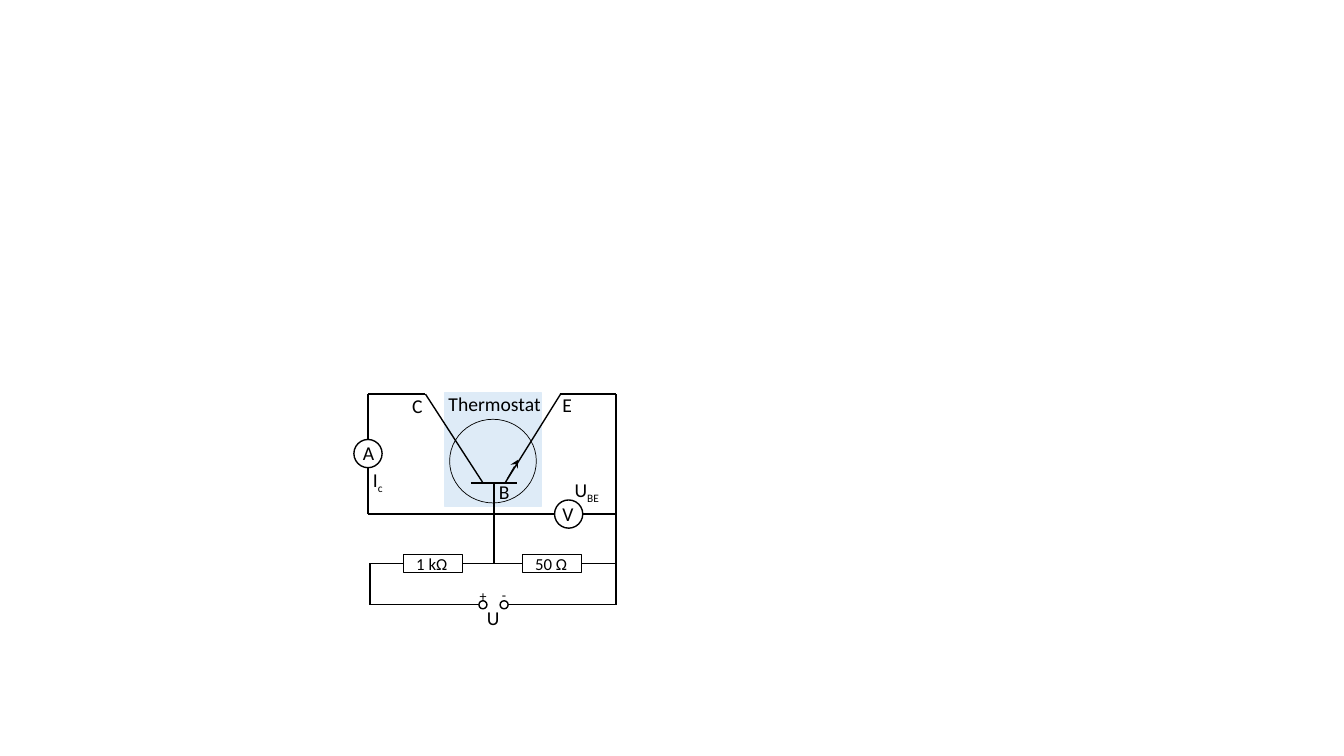
import lxml.etree
import pptx
import pptx.dml.color
import pptx.enum.shapes
import pptx.enum.text
import pptx.oxml.ns
import pptx.util

COLORS = {"ink": "000000", "paper": "FFFFFF", "thermostat": "DEEBF7"}
RECTANGLE = pptx.enum.shapes.MSO_SHAPE.RECTANGLE
OVAL = pptx.enum.shapes.MSO_SHAPE.OVAL


def rgb(name):
    return pptx.dml.color.RGBColor.from_string(COLORS[name])


class CircuitSlide:
    font_name = "Calibri"
    columns, rows = 133.3, 75

    def __init__(self, presentation):
        self.slide = presentation.slides.add_slide(presentation.slide_layouts[6])
        self.column = presentation.slide_width / self.columns
        self.row = presentation.slide_height / self.rows

    def place(self, left, top, width, height):
        return (round(left * self.column), round(top * self.row),
                round(width * self.column), round(height * self.row))

    def shape(self, kind, box, fill="paper", line="ink", weight=1):
        shape = self.slide.shapes.add_shape(kind, *self.place(*box))
        shape.shadow.inherit = False
        if fill:
            shape.fill.solid()
            shape.fill.fore_color.rgb = rgb(fill)
        else:
            shape.fill.background()
        shape.line.color.rgb = rgb(line)
        shape.line.width = pptx.util.Pt(weight)

    def circle(self, center_x, center_y, diameter):
        radius = diameter / 2
        self.shape(OVAL, (center_x - radius, center_y - radius, diameter, diameter))

    def wire(self, start, end, weight=1, arrow=False):
        connector = self.slide.shapes.add_connector(
            pptx.enum.shapes.MSO_CONNECTOR.STRAIGHT, *self.place(*start, *end))
        connector.line.color.rgb = rgb("ink")
        connector.line.width = pptx.util.Pt(weight)
        properties = connector._element.spPr
        if arrow:
            outline = properties.find(pptx.oxml.ns.qn("a:ln"))
            lxml.etree.SubElement(outline, pptx.oxml.ns.qn("a:tailEnd"), type="stealth")
        lxml.etree.SubElement(properties, pptx.oxml.ns.qn("a:effectLst"))

    def label(self, text, box, size=14, subscript="", wrap=False):
        text_box = self.slide.shapes.add_textbox(*self.place(*box))
        frame = text_box.text_frame
        frame.word_wrap = wrap
        frame.auto_size = pptx.enum.text.MSO_AUTO_SIZE.SHAPE_TO_FIT_TEXT
        frame.text = text
        paragraph = frame.paragraphs[0]
        if subscript:
            run = paragraph.add_run()
            run.text = subscript
            run._r.get_or_add_rPr().set("baseline", "-25000")
        for run in paragraph.runs:
            run.font.name = self.font_name
            run.font.size = pptx.util.Pt(size)
            run.font.color.rgb = rgb("ink")


def main():
    presentation = pptx.Presentation()
    presentation.slide_width = pptx.util.Inches(13.33)
    presentation.slide_height = pptx.util.Inches(7.5)
    circuit = CircuitSlide(presentation)

    left, supply_left, base, right = 36.5, 36.7, 49, 61.1
    top, plate, meter_row, resistor_row, supply_row = 39.1, 47.9, 51, 55.9, 60

    circuit.shape(RECTANGLE, (44.1, 39, 9.6, 11.2), "thermostat", "thermostat")

    wires = [
        ((supply_left, resistor_row), (right, resistor_row)),
        ((supply_left, resistor_row), (supply_left, supply_row)),
        ((right, top), (right, supply_row)),
        ((supply_left, supply_row), (47.8, supply_row)),
        ((50, supply_row), (right, supply_row)),
        ((base, resistor_row), (base, plate)),
        ((left, meter_row), (right, meter_row)),
        ((46.7, plate), (51.3, plate)),
        ((55.5, top), (right, top)),
        ((left, meter_row), (left, top)),
        ((left, top), (42.2, top)),
        ((47.9, plate), (42.2, top)),
        ((50.1, plate), (55.6, top)),
    ]
    for start, end in wires:
        circuit.wire(start, end)

    for resistor_left in (40, 51.8):
        circuit.shape(RECTANGLE, (resistor_left, resistor_row - 0.9, 5.9, 1.8))
    for terminal in (47.9, 50):
        circuit.circle(terminal, supply_row, 0.8)
    for meter in ((56.4, meter_row), (left, 45)):
        circuit.circle(*meter, 2.8)
    circuit.shape(OVAL, (44.6, 41.6, 8.6, 8.3), fill=None, weight=0.5)
    circuit.wire((50.3, 47.5), (51.4, 45.6), weight=0.5, arrow=True)

    for text, x, y, width in [
        ("U", 47.3, 59.6, 3.3), ("V", 54.8, 49.3, 3.1), ("A", 35, 43.3, 3.2),
        ("B", 48.5, 47.1, 3.1), ("E", 54.8, 38.5, 3), ("C", 39.9, 38.6, 3.1),
    ]:
        circuit.label(text, (x, y, width, 3.4))
    circuit.label("+", (46.6, 57.8, 2.7, 2.7), size=10)
    circuit.label("-", (48.8, 57.7, 2.4, 2.7), size=10)
    circuit.label("1 kΩ", (40.3, 54.4, 5.9, 3), size=12, wrap=True)
    circuit.label("50 Ω", (52.1, 54.4, 5.9, 3), size=12, wrap=True)
    circuit.label("Thermostat", (43.5, 38.4, 11.6, 3.4), wrap=True)
    circuit.label("I", (36, 45.9, 3.1, 3.4), subscript="c")
    circuit.label("U", (56, 46.9, 4.6, 3.4), subscript="BE")

    presentation.save("out.pptx")


if __name__ == "__main__":
    main()
